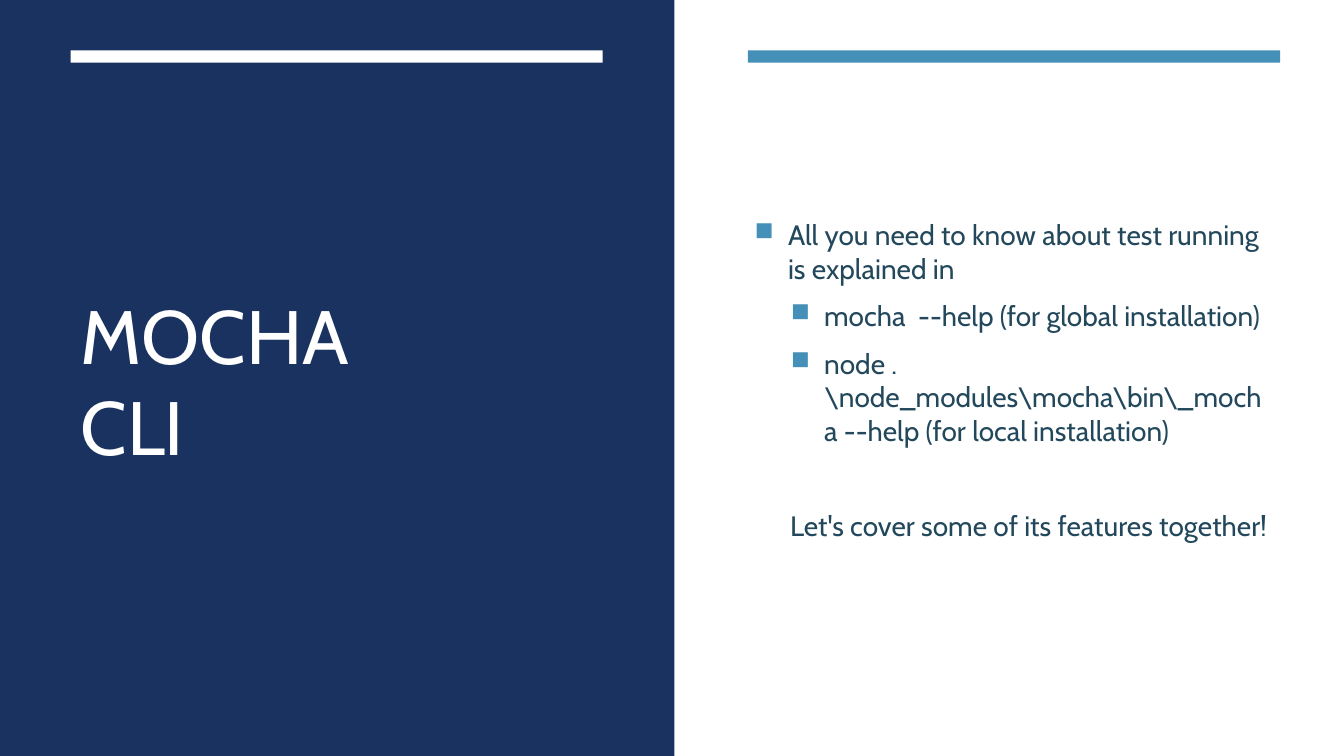
from lxml.etree import SubElement
from pptx import Presentation
from pptx.dml.color import RGBColor
from pptx.enum.shapes import MSO_SHAPE as SHAPE
from pptx.enum.text import MSO_ANCHOR as ANCHOR
from pptx.oxml.ns import qn
from pptx.util import Cm, Pt

WIDTH, HEIGHT, PANEL = 33.87, 19.05, 17
NAVY, BLUE, SLATE, WHITE = "1A3260", "4590B8", "23485C", "FFFFFF"
FONT = "Cabin"
BAR_TOP, BAR_WIDTH, BAR_HEIGHT = 1.27, 13.41, 0.31
TEXT_TOP, TEXT_HEIGHT = 2.87, 13.41
HANG = 0.84
POINTS = [
    ("All you need to know about test running is explained in", 0, 0.84, True, 4),
    ("mocha  --help (for global installation)", 1, 1.75, True, 4),
    ("node .\\node_modules\\mocha\\bin\\_mocha --help (for local installation)", 1, 1.75, True, 4),
    ("Let's cover some of its features together!", 1, 0.89, False, 38),
]


def color(value):
    """Turn a hex string into a colour."""
    return RGBColor.from_string(value)


def add_rect(s, x, y, w, h, fill):
    """Draw a plain filled rectangle."""
    sp = s.shapes.add_shape(SHAPE.RECTANGLE, Cm(x), Cm(y), Cm(w), Cm(h))
    sp.shadow.inherit = False
    sp.fill.solid()
    sp.fill.fore_color.rgb = color(fill)
    sp.line.fill.background()


def add_text(s, x, y, w, h):
    """Add a wrapping, vertically centred text box and return its frame."""
    tf = s.shapes.add_textbox(Cm(x), Cm(y), Cm(w), Cm(h)).text_frame
    tf.word_wrap = True
    tf.vertical_anchor = ANCHOR.MIDDLE
    return tf


def set_text(p, text, size, fill):
    """Fill a paragraph and format its run."""
    p.text = text
    font = p.runs[0].font
    font.name, font.size = FONT, Pt(size)
    font.color.rgb = color(fill)


def set_indent(p, left, bullet):
    """Indent a paragraph and give it a square bullet if wanted."""
    pPr = p._p.get_or_add_pPr()
    pPr.set("marL", str(Cm(left)))
    pPr.set("indent", str(-Cm(HANG) if bullet else 0))
    if bullet:
        clr = SubElement(pPr, qn("a:buClr"))
        SubElement(clr, qn("a:srgbClr"), val=BLUE)
        SubElement(pPr, qn("a:buSzPct"), val="92000")
        SubElement(pPr, qn("a:buChar"), char="■")
    else:
        SubElement(pPr, qn("a:buNone"))


def title_panel(s, x, y, w, h):
    """Draw the dark panel with its bar and the title."""
    add_rect(s, x, y, w, h, NAVY)
    add_rect(s, x + 1.78, y + BAR_TOP, BAR_WIDTH, BAR_HEIGHT, WHITE)
    tf = add_text(s, x + 1.78, y + TEXT_TOP, 9.53, TEXT_HEIGHT)
    set_text(tf.paragraphs[0], "MOCHA CLI", 54, WHITE)


def points_panel(s, x, y):
    """Draw the light panel with its bar and the points."""
    add_rect(s, x + 1.85, y + BAR_TOP, BAR_WIDTH, BAR_HEIGHT, BLUE)
    tf = add_text(s, x + 1.77, y + TEXT_TOP, 13.49, TEXT_HEIGHT)
    for i, (text, level, left, bullet, before) in enumerate(POINTS):
        p = tf.add_paragraph() if i else tf.paragraphs[0]
        set_text(p, text, 20, SLATE)
        p.level = level
        p.space_before, p.space_after = Pt(before), Pt(6)
        set_indent(p, left, bullet)


def main():
    """Build and save the slide."""
    prs = Presentation()
    prs.slide_width, prs.slide_height = Cm(WIDTH), Cm(HEIGHT)
    s = prs.slides.add_slide(prs.slide_layouts[6])
    s.background.fill.solid()
    s.background.fill.fore_color.rgb = color(WHITE)
    title_panel(s, 0, 0, PANEL, HEIGHT)
    points_panel(s, PANEL, 0)
    prs.save("out.pptx")


if __name__ == "__main__":
    main()
